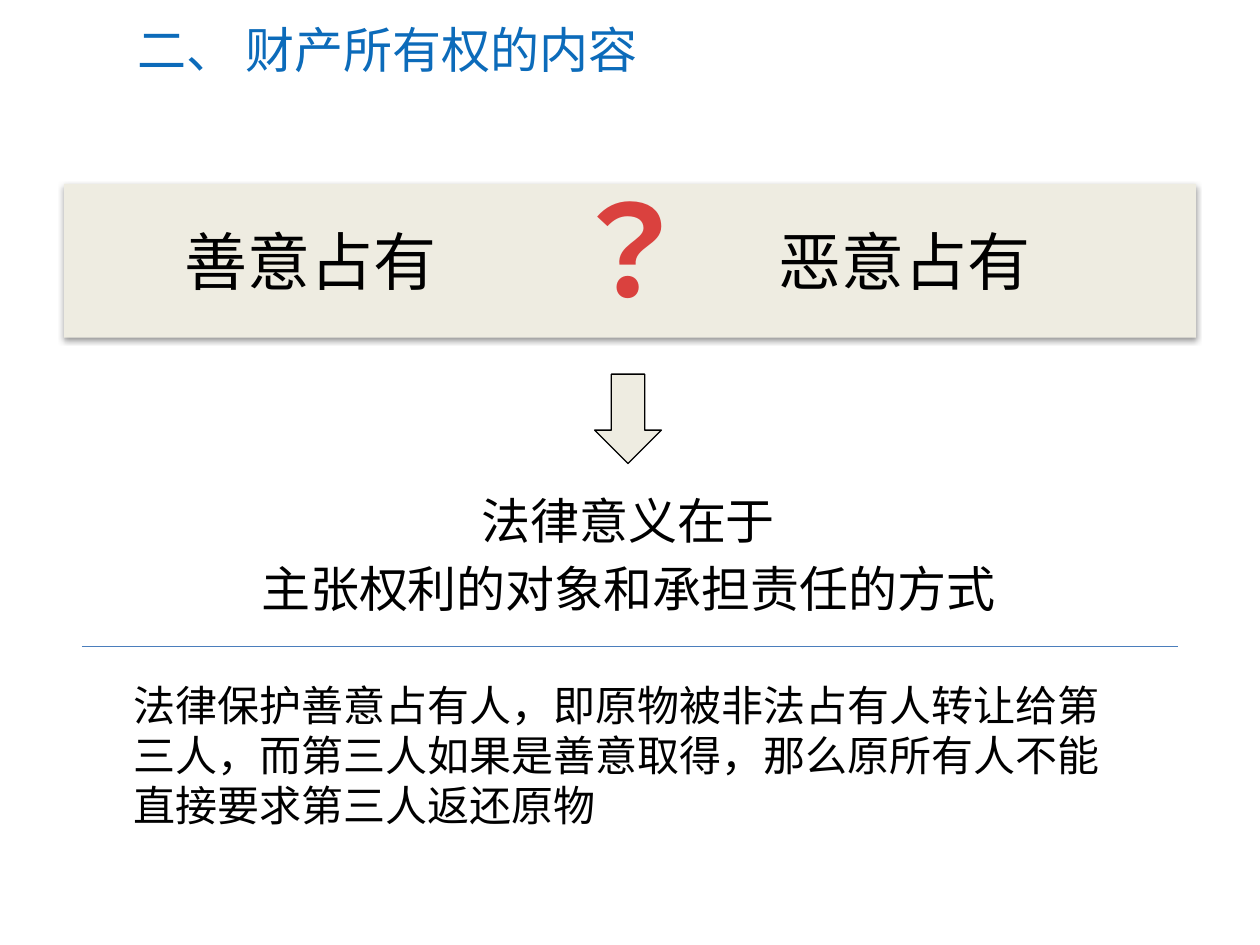
import lxml.etree
import pptx
import pptx.dml.color
import pptx.enum.shapes
import pptx.enum.text
import pptx.oxml.ns
import pptx.util

Pt = pptx.util.Pt
qn = pptx.oxml.ns.qn
ALIGN = pptx.enum.text.PP_ALIGN
SHAPE = pptx.enum.shapes.MSO_SHAPE
CJK = "Noto Sans CJK SC"
COLORS = {"title": "0C6BBA", "panel": "EEECE1", "question": "DA413E",
          "ink": "000000", "divider": "4B7EBC"}


def color(name):
    """Return the named colour as an RGB value."""
    return pptx.dml.color.RGBColor.from_string(COLORS[name])


def add_text(box, lines, size, ink="ink", font=CJK, align=ALIGN.LEFT,
             bold=False, wrap=True, middle=False, space=0.2):
    """Add a text box with one paragraph for each line."""
    frame = slide.shapes.add_textbox(*map(Pt, box)).text_frame
    frame.word_wrap = wrap
    if middle:
        frame.vertical_anchor = pptx.enum.text.MSO_ANCHOR.MIDDLE
    frame.text = "\n".join(lines)
    for paragraph in frame.paragraphs:
        paragraph.alignment = align
        paragraph.space_before = Pt(size * space)
        run = paragraph.runs[0]
        for name, value in {"size": Pt(size), "bold": bold, "name": font}.items():
            setattr(run.font, name, value)
        run.font.color.rgb = color(ink)
        if font != "Calibri":
            latin = run.font._element.find(qn("a:latin"))
            east_asian = lxml.etree.Element(qn("a:ea"), typeface=font)
            latin.addnext(east_asian)


presentation = pptx.Presentation()
presentation.slide_width, presentation.slide_height = Pt(720), Pt(540)
slide = presentation.slides.add_slide(presentation.slide_layouts[6])

add_text((71.3, 7.2, 627.8, 41.8), ["二、 财产所有权的内容"], 28, "title",
         "Calibri", middle=True, space=0)

# Comparison panel with a soft shadow, and the arrow below it
panel = slide.shapes.add_shape(SHAPE.RECTANGLE, Pt(36.7), Pt(105.1), Pt(646.6), Pt(87.8))
arrow = slide.shapes.add_shape(SHAPE.DOWN_ARROW, Pt(339.8), Pt(213.8), Pt(38.2), Pt(51.1))
for shape in (panel, arrow):
    shape.shadow.inherit = False
    shape.fill.solid()
    shape.fill.fore_color.rgb = color("panel")
panel.line.fill.background()
arrow.line.color.rgb = color("ink")
arrow.line.width = Pt(0.75)

effects = panel._element.spPr.find(qn("a:effectLst"))
shadow = lxml.etree.SubElement(effects, qn("a:outerShdw"), blurRad=str(Pt(3.1)),
                               dist=str(Pt(1.6)), dir="5400000", rotWithShape="0")
shade = lxml.etree.SubElement(shadow, qn("a:srgbClr"), val=COLORS["ink"])
lxml.etree.SubElement(shade, qn("a:alpha"), val="38000")

add_text((316.8, 94.3, 85.7, 94.3), ["？"], 72, "question", "Noto Sans CJK KR",
         ALIGN.CENTER, bold=True, wrap=False)
for left, label in ((98.6, "善意占有"), (437.8, "恶意占有")):
    add_text((left, 123.8, 183.6, 51.1), [label], 36)

add_text((82.1, 276.5, 553.7, 82.1), ["法律意义在于", "主张权利的对象和承担责任的方式"],
         28, align=ALIGN.CENTER)

divider = slide.shapes.add_connector(pptx.enum.shapes.MSO_CONNECTOR.STRAIGHT,
                                     Pt(46.8), Pt(369.4), Pt(673.2), Pt(369.4))
divider.line.color.rgb = color("divider")
divider.line.width = Pt(0.75)
lxml.etree.SubElement(divider._element.spPr, qn("a:effectLst"))

add_text((69.1, 384.5, 579.6, 94.3),
         ["法律保护善意占有人，即原物被非法占有人转让给第三人，而第三人如果是善意取得，"
          "那么原所有人不能直接要求第三人返还原物"], 24)

presentation.save("out.pptx")
